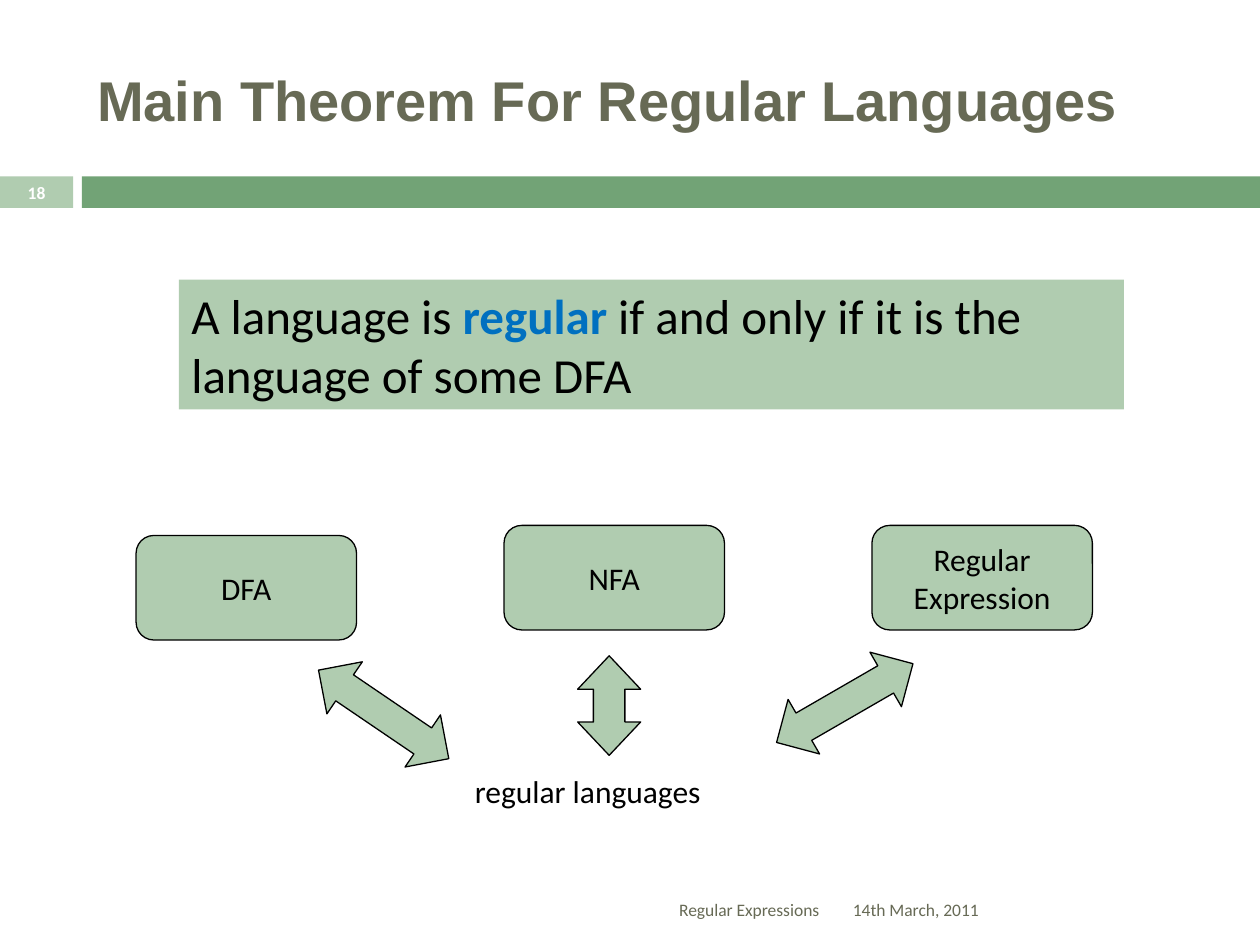
from pptx import Presentation
from pptx.dml.color import RGBColor
from pptx.enum.shapes import MSO_SHAPE
from pptx.enum.text import MSO_ANCHOR, PP_ALIGN
from pptx.util import Inches, Pt

RECT = MSO_SHAPE.RECTANGLE
ROUNDED = MSO_SHAPE.ROUNDED_RECTANGLE
DOUBLE_ARROW = MSO_SHAPE.LEFT_RIGHT_ARROW
LEFT, CENTER, RIGHT = PP_ALIGN.LEFT, PP_ALIGN.CENTER, PP_ALIGN.RIGHT
TOP, MIDDLE = MSO_ANCHOR.TOP, MSO_ANCHOR.MIDDLE

COLORS = {
    "light_green": "B0CCB0",
    "green": "72A376",
    "olive": "676A55",
    "blue": "0070C0",
    "black": "000000",
    "white": "FFFFFF",
}
BODY = {"name": "Calibri", "size": 18, "color": "black", "bold": False}
STATEMENT = {**BODY, "size": 28}
KEYWORD = {**STATEMENT, "color": "blue", "bold": True}
FOOTER = {**BODY, "size": 10, "color": "olive"}
PAGE_NUMBER = {**FOOTER, "color": "white", "bold": True}
HEADING = {"name": "Arial", "size": 32, "color": "olive", "bold": True}


def rgb(color):
    return RGBColor.from_string(COLORS[color])


class TheoremSlide:
    """Holds the slide and draws its elements in one style."""

    def __init__(self, presentation):
        self.slide = presentation.slides.add_slide(presentation.slide_layouts[5])

    def format_run(self, run, style):
        values = {**style, "size": Pt(style["size"])}
        run.font.color.rgb = rgb(values.pop("color"))
        for attribute, value in values.items():
            setattr(run.font, attribute, value)

    def set_text(self, shape, parts, align=LEFT, anchor=MIDDLE):
        """Fill a shape with one paragraph of (wording, style) parts."""
        frame = shape.text_frame
        frame.word_wrap = True
        frame.vertical_anchor = anchor
        paragraph = frame.paragraphs[0]
        paragraph.alignment = align
        for wording, style in parts:
            for number, line in enumerate(wording.split("\n")):
                if number:
                    paragraph.add_line_break()
                run = paragraph.add_run()
                run.text = line
                self.format_run(run, style)

    def title(self, wording, *box):
        heading = self.slide.shapes.title
        heading.left, heading.top, heading.width, heading.height = map(Inches, box)
        self.set_text(heading, [(wording, HEADING)])

    def shape(self, kind, *box, fill="light_green", outlined=False):
        shape = self.slide.shapes.add_shape(kind, *map(Inches, box))
        shape.shadow.inherit = False
        shape.fill.solid()
        shape.fill.fore_color.rgb = rgb(fill)
        if outlined:
            shape.line.color.rgb = rgb("black")
            shape.line.width = Pt(0.75)
        else:
            shape.line.fill.background()
        return shape

    def model(self, wording, left, top):
        box = self.shape(ROUNDED, left, top, 1.75, 0.83, outlined=True)
        box.adjustments[0] = 0.17
        self.set_text(box, [(wording, BODY)], CENTER)

    def double_arrow(self, left, top, length, angle, head):
        arrow = self.shape(DOUBLE_ARROW, left, top, length, 0.5, outlined=True)
        arrow.adjustments[0], arrow.adjustments[1] = 0.5, head
        arrow.rotation = angle

    def label(self, wording, style, *box, align=LEFT, anchor=MIDDLE):
        textbox = self.slide.shapes.add_textbox(*map(Inches, box))
        self.set_text(textbox, [(wording, style)], align, anchor)


def main():
    presentation = Presentation()
    presentation.slide_width, presentation.slide_height = Inches(10), Inches(7.5)
    page = TheoremSlide(presentation)

    page.shape(RECT, 0, 1.4, 0.58, 0.25)
    page.shape(RECT, 0.65, 1.4, 9.35, 0.25, fill="green")
    page.title("Main Theorem For Regular Languages", 0.67, 0.25, 8.92, 1.08)

    theorem = page.shape(RECT, 1.42, 2.22, 7.5, 1.03)
    page.set_text(theorem, [
        ("A language is ", STATEMENT),
        ("regular", KEYWORD),
        (" if and only if it is the language of some DFA", STATEMENT),
    ], anchor=TOP)

    models = [("DFA", 4.25), ("NFA", 4.17), ("Regular\nExpression", 4.17)]
    for column, (name, top) in enumerate(models):
        page.model(name, 1.08 + 2.92 * column, top)
    page.label("regular languages", BODY, 3.67, 6.08, 2.51, 0.5, anchor=TOP)

    for arrow in [
        (2.42, 5.42, 1.25, 34.2, 0.5),
        (6.08, 5.33, 1.25, 330, 0.5),
        (4.44, 5.35, 0.79, 270, 0.53),
    ]:
        page.double_arrow(*arrow)

    page.label("14th March, 2011", FOOTER, 6.67, 7.02, 2.92, 0.4)
    page.label("18", PAGE_NUMBER, 0, 1.39, 0.58, 0.27, align=CENTER)
    page.label("Regular Expressions", FOOTER, 0.67, 7.02, 5.93, 0.4, align=RIGHT)

    presentation.save("out.pptx")


if __name__ == "__main__":
    main()
